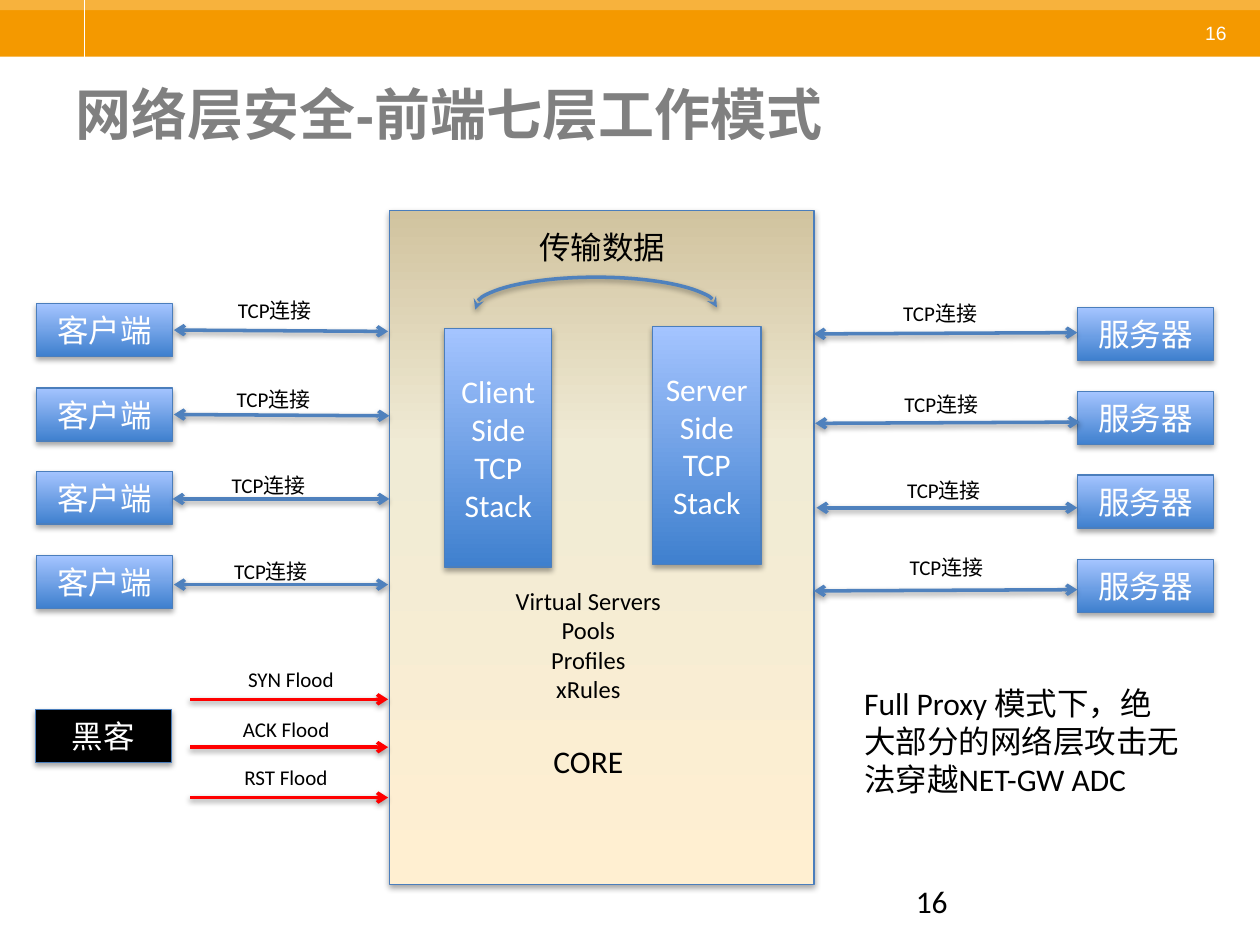
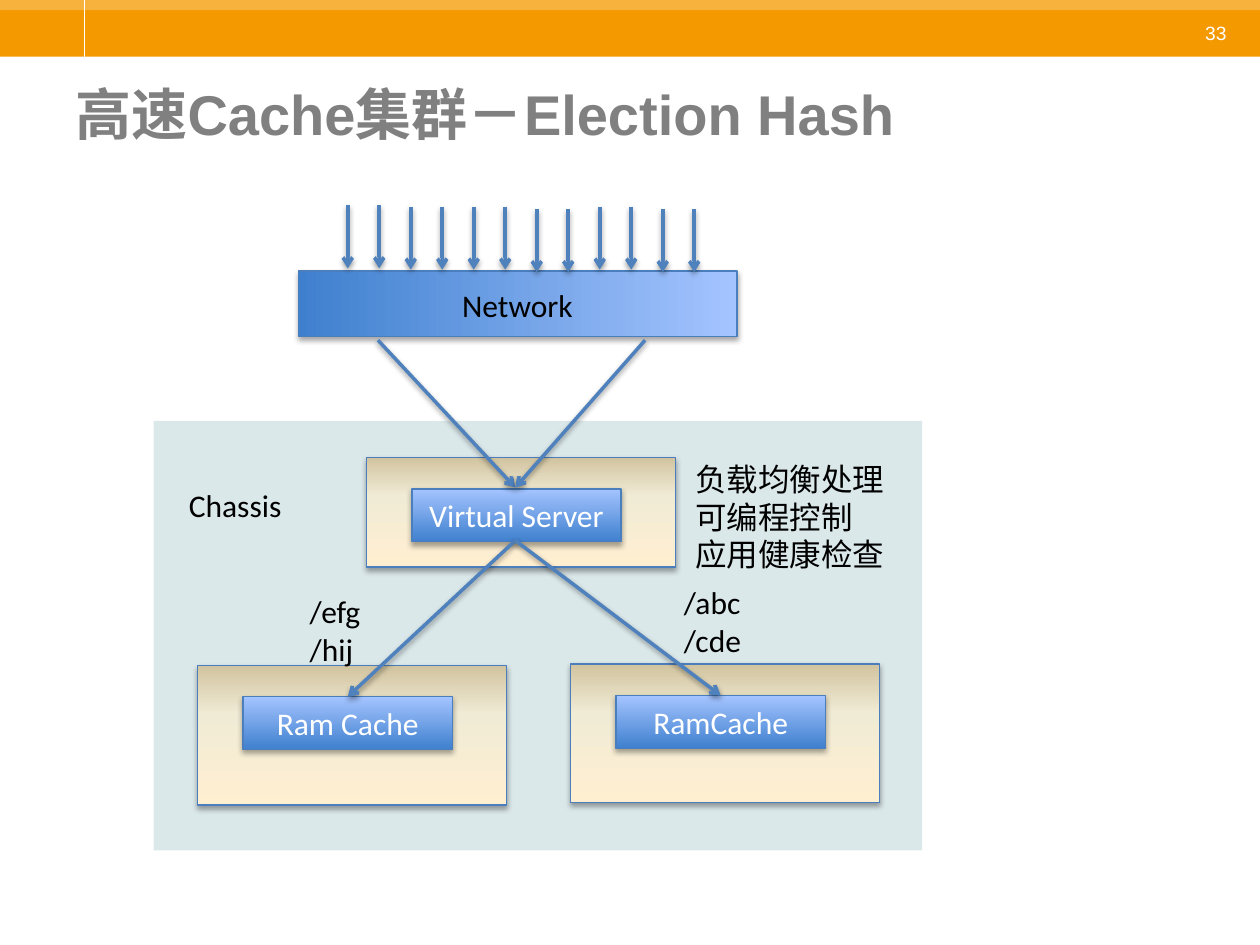
from pptx import Presentation
from pptx.dml.color import RGBColor as RGB
from pptx.enum.shapes import MSO_CONNECTOR as LINK, MSO_SHAPE as SHAPE
from pptx.enum.text import MSO_ANCHOR as ANCHOR, MSO_AUTO_SIZE as AUTO, PP_ALIGN as ALIGN
from pptx.oxml import parse_xml
from pptx.oxml.ns import nsdecls, qn
from pptx.util import Pt

PX = 9144
NS = nsdecls("a")
HUE = {
    "band": "F49900", "strip": "F7B23D", "white": "FFFFFF", "black": "000000",
    "title": "808080", "edge": "4B7EBC", "arrow": "4F81BD", "attack": "FF0000",
    "panel": "4F8D97",
}
BLUE = [(0, "3F80CE"), (100, "A4C4FF")]
SAND = [(0, "FFEFD1"), (65, "F0EBD5"), (100, "D1C39F")]
GLOW = (
    f'<a:effectLst {NS}><a:outerShdw blurRad="40000" dist="%d" dir="5400000" rotWithShape="0">'
    '<a:srgbClr val="000000"><a:alpha val="%d"/></a:srgbClr></a:outerShdw></a:effectLst>'
)


def box(page, at, text="", fill=None, ink="black", size=18, face="Calibri",
        align=ALIGN.LEFT, wrap=False, shade=True):
    area = [v * PX for v in at]
    if fill is None:
        item = page.shapes.add_textbox(*area)
    else:
        item = page.shapes.add_shape(SHAPE.RECTANGLE, *area)
        if isinstance(fill, str):
            item.fill.solid()
            item.fill.fore_color.rgb = RGB.from_string(HUE[fill])
        else:
            item.fill.background()
            stops = "".join(f'<a:gs pos="{pos * 1000}"><a:srgbClr val="{hue}"/></a:gs>'
                            for pos, hue in fill)
            props = item.element.spPr
            props.replace(props.find(qn("a:noFill")), parse_xml(
                f'<a:gradFill {NS} rotWithShape="1"><a:gsLst>{stops}</a:gsLst>'
                '<a:lin ang="16200000" scaled="0"/></a:gradFill>'))
        if shade:
            item.line.color.rgb = RGB.from_string(HUE["edge"])
            item.line.width = Pt(0.75)
            item.element.spPr.append(parse_xml(GLOW % (23000, 35000)))
        else:
            item.line.fill.background()
            item.shadow.inherit = False
    if text:
        frame = item.text_frame
        frame.text = text
        frame.word_wrap = wrap or fill is not None
        if fill is None:
            frame.auto_size = AUTO.SHAPE_TO_FIT_TEXT
        else:
            frame.vertical_anchor = ANCHOR.MIDDLE
            align, ink = ALIGN.CENTER, "white"
        for para in frame.paragraphs:
            para.alignment = align
            para.font.name = face
            para.font.size = Pt(size)
            para.font.color.rgb = RGB.from_string(HUE[ink])
    return item


def link(page, ends, hue="arrow", head="none", tail="arrow", width=2, glow=True, bow=None):
    area = [v * PX for v in ends]
    if bow:
        item = page.shapes.add_shape(SHAPE.ARC, *area)
        item.adjustments[0], item.adjustments[1] = bow
        item.fill.background()
    else:
        item = page.shapes.add_connector(LINK.STRAIGHT, *area)
    item.line.color.rgb = RGB.from_string(HUE[hue])
    item.line.width = Pt(width)
    props = item.element.spPr
    for tag, tip in (("headEnd", head), ("tailEnd", tail)):
        props.find(qn("a:ln")).append(parse_xml(f'<a:{tag} {NS} type="{tip}"/>'))
    props.append(parse_xml(GLOW % (20000, 38000) if glow else f"<a:effectLst {NS}/>"))


deck = Presentation()
deck.slide_width, deck.slide_height = 1000 * PX, 750 * PX
pages = []
for num, name in (("16", "网络层安全-前端七层工作模式"), ("33", "高速Cache集群－Election Hash")):
    page = deck.slides.add_slide(deck.slide_layouts[6])
    box(page, (0, 0, 1000, 45), fill="band", shade=False)
    box(page, (0, 0, 1000, 8), fill="strip", shade=False)
    link(page, (67, 0, 67, 45), "white", tail="none", width=0.75, glow=False)
    box(page, (944, 12, 42, 29), num, ink="white", size=11, face="Arial",
        align=ALIGN.CENTER, wrap=True)
    title = box(page, (50, 58, 900, 88), name, ink="title", size=32, face="Arial", wrap=True)
    title.text_frame.auto_size = AUTO.NONE
    title.text_frame.paragraphs[0].font.bold = True
    pages.append(page)
proxy, cache = pages

box(proxy, (309, 167, 337, 535), fill=SAND)
box(proxy, (717, 695, 233, 40), "16", wrap=True)
box(proxy, (353, 261, 85, 189), "Client\nSide\nTCP\nStack", BLUE)
box(proxy, (518, 259, 86, 189), "Server\nSide\nTCP\nStack", BLUE)
parts = box(proxy, (392, 460, 150, 165), "Virtual Servers\nPools\nProfiles\nxRules\nCORE",
            size=14, align=ALIGN.CENTER)
core = parts.text_frame.paragraphs[-1]
core.font.size = Pt(18)
core.space_before = Pt(22)
link(proxy, (377, 220, 192, 48), head="stealth", tail="stealth", bow=(107.36, 0))
box(proxy, (418, 176, 121, 40), "传输数据")

sides = [
    ("客户端", 29, 241,
     [(138, 262, 308, 263), (138, 329, 309, 330), (137, 396, 309, 396), (138, 464, 308, 464)],
     [(179, 231), (178, 302), (174, 370), (176, 438)]),
    ("服务器", 855, 244,
     [(646, 265, 855, 264), (647, 336, 857, 335), (648, 403, 855, 403), (646, 469, 855, 468)],
     [(707, 234), (708, 306), (710, 374), (712, 435)]),
]
for name, left, top, lines, tags in sides:
    for row, (ends, spot) in enumerate(zip(lines, tags)):
        box(proxy, (left, top + round(row * 200 / 3), 108, 42), name, BLUE)
        link(proxy, ends, head="arrow")
        box(proxy, (*spot, 88, 30), "TCP连接", size=12)

box(proxy, (28, 563, 108, 42), "黑客", "black")
for kind, left, top, high in (("SYN", 187, 524, 555), ("ACK", 183, 564, 593), ("RST", 184, 602, 633)):
    link(proxy, (151, high, 308, high), "attack")
    box(proxy, (left, top, 102, 30), f"{kind} Flood", size=12)
box(proxy, (676, 538, 270, 101), "Full Proxy 模式下，绝大部分的网络层攻击无法穿越NET-GW ADC", wrap=True)

panel = box(cache, (122, 334, 610, 341), fill="panel", shade=False)
tint = panel.element.spPr.find(qn("a:solidFill")).find(qn("a:srgbClr"))
tint.append(parse_xml(f'<a:alpha {NS} val="20000"/>'))
for name, left, top, high in (("Virtual Server", 291, 363, 87), ("Ram Cache", 157, 528, 111),
                              ("RamCache", 453, 527, 110)):
    box(cache, (left, top, 245, high), fill=SAND)
    box(cache, (left + 36, top + 25, 166, 42), name, BLUE)

box(cache, (385, 67, 52, 348), fill=BLUE).rotation = 90
for col, top in enumerate([163] * 2 + [164] * 4 + [166] * 2 + [164] * 2 + [166] * 2):
    left = 276 + 25 * col
    link(cache, (left, top, left, top + 50))
box(cache, (357, 222, 113, 40), "Network")

for ends in ((300, 270, 409, 387), (512, 270, 409, 387),
             (409, 429, 276, 553), (409, 429, 572, 552)):
    link(cache, ends)
for at, text in (
    ((542, 360, 172, 101), "负载均衡处理\n可编程控制\n应用健康检查"),
    ((140, 381, 95, 40), "Chassis"),
    ((533, 458, 66, 71), "/abc\n/cde"),
    ((236, 465, 61, 71), "/efg\n/hij"),
):
    box(cache, at, text)

deck.save("out.pptx")
